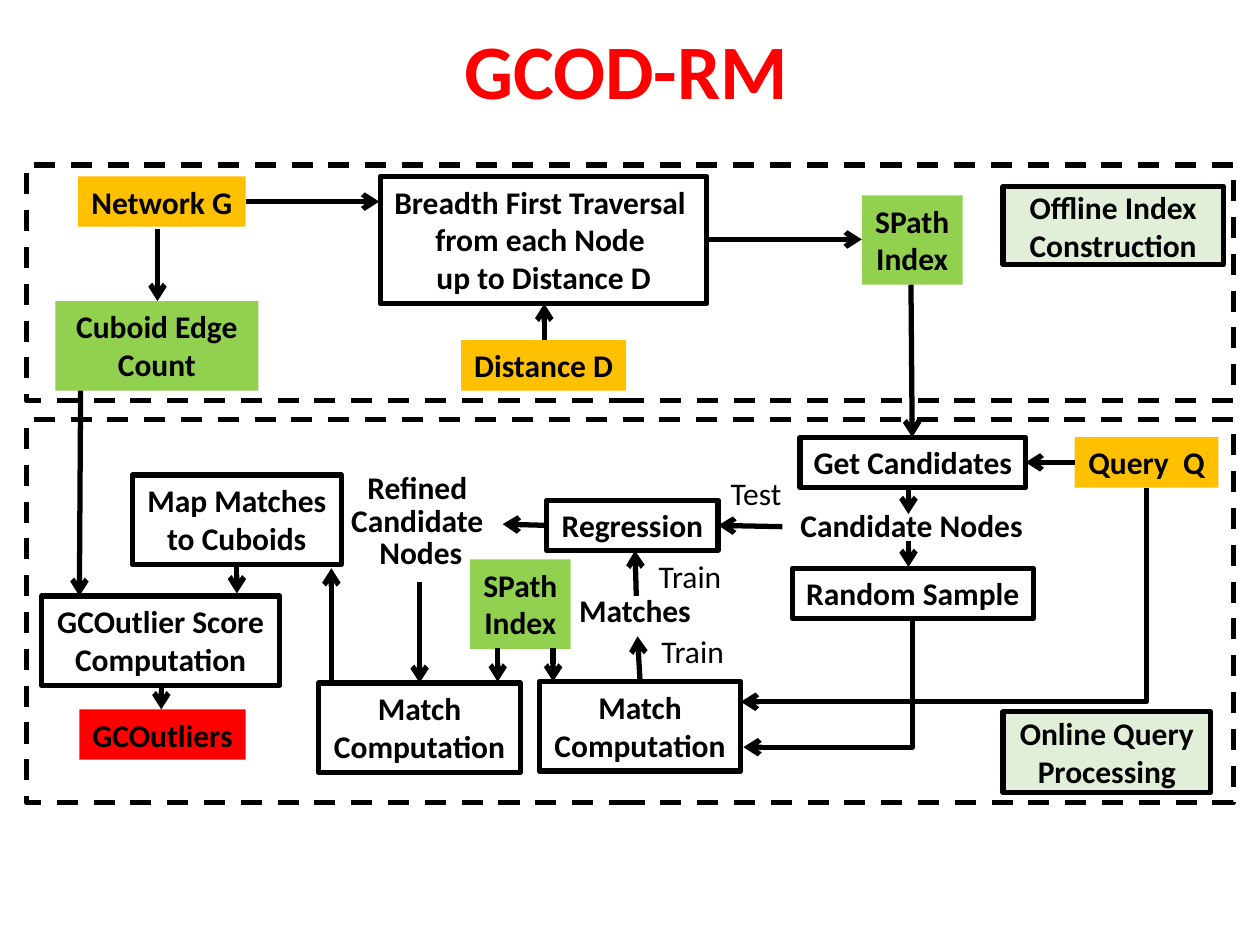
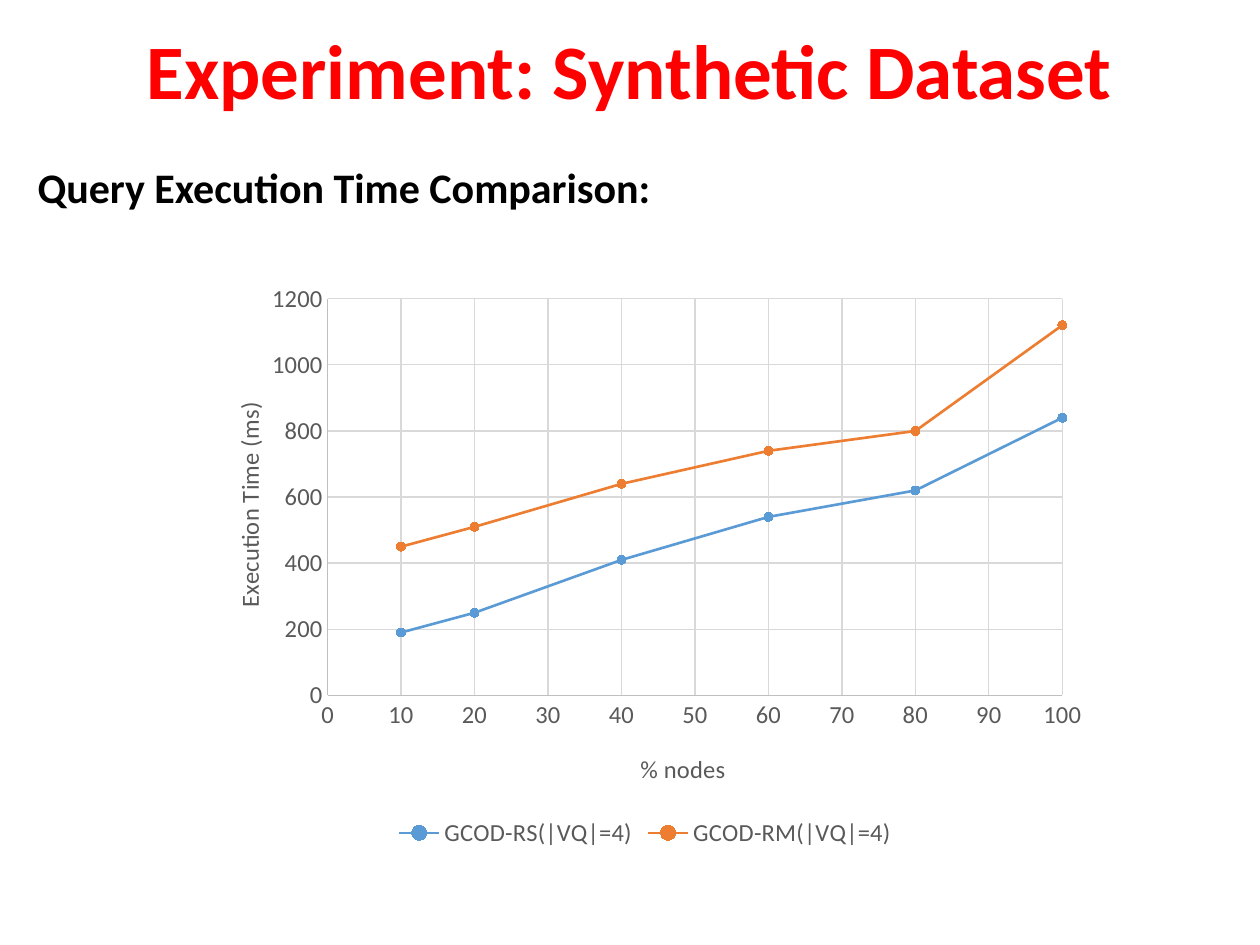
from dataclasses import dataclass

from lxml import etree
from pptx import Presentation
from pptx.chart.data import XyChartData
from pptx.dml.color import RGBColor
from pptx.enum.chart import XL_CHART_TYPE, XL_LEGEND_POSITION, XL_MARKER_STYLE, XL_TICK_MARK
from pptx.enum.dml import MSO_LINE
from pptx.enum.shapes import MSO_CONNECTOR, MSO_SHAPE
from pptx.enum.text import MSO_ANCHOR, PP_ALIGN
from pptx.oxml.ns import qn
from pptx.util import Inches, Pt

LEFT, CENTER = PP_ALIGN.LEFT, PP_ALIGN.CENTER
TOP, MIDDLE = MSO_ANCHOR.TOP, MSO_ANCHOR.MIDDLE
RECTANGLE = MSO_SHAPE.RECTANGLE
STRAIGHT, ELBOW = MSO_CONNECTOR.STRAIGHT, MSO_CONNECTOR.ELBOW
NO_TICK = XL_TICK_MARK.NONE

COLORS = {
    "text": "000000",
    "title": "FF0000",
    "input": "FFC000",
    "index": "92D050",
    "result": "FF0000",
    "phase": "C5E0B4",
    "chart_text": "595959",
    "axis": "BFBFBF",
    "grid": "D9D9D9",
    "rs": "5B9BD5",
    "rm": "ED7D31",
}
FONT = "Calibri"
STROKE = Pt(3)


@dataclass
class Box:
    left: float
    top: float
    width: float
    height: float
    text: str = ""
    fill: str = ""
    outlined: bool = False
    dashed: bool = False
    wrap: bool = False
    anchor: MSO_ANCHOR = TOP
    align: PP_ALIGN = CENTER
    size: float = 18
    bold: bool = True
    color: str = "text"
    spacing: float | Pt | None = None
    opacity: int = 100


@dataclass
class Arrow:
    x1: float
    y1: float
    x2: float
    y2: float
    bent: bool = False


@dataclass
class Series:
    name: str
    color: str
    times: tuple[int, ...]


def rgb(name: str) -> RGBColor:
    return RGBColor.from_string(COLORS[name])


def apply(target, **values) -> None:
    for attribute, value in values.items():
        setattr(target, attribute, value)


def style_font(font, size: float, color: str, bold: bool = False) -> None:
    apply(font, name=FONT, size=Pt(size), bold=bold)
    font.color.rgb = rgb(color)


def style_line(line, color: str, width: int) -> None:
    line.color.rgb = rgb(color)
    line.width = width


def draw_box(slide, box: Box) -> None:
    place = [Inches(v) for v in (box.left, box.top, box.width, box.height)]
    if box.fill or box.outlined:
        shape = slide.shapes.add_shape(RECTANGLE, *place)
        shape.shadow.inherit = False
        if box.fill:
            shape.fill.solid()
            shape.fill.fore_color.rgb = rgb(box.fill)
        else:
            shape.fill.background()
        if box.outlined:
            style_line(shape.line, "text", STROKE)
        else:
            shape.line.fill.background()
        if box.dashed:
            shape.line.dash_style = MSO_LINE.DASH
        if box.opacity < 100:
            tint = shape.element.spPr.find(f"{qn('a:solidFill')}/{qn('a:srgbClr')}")
            etree.SubElement(tint, qn("a:alpha"), val=str(box.opacity * 1000))
    else:
        shape = slide.shapes.add_textbox(*place)
    if not box.text:
        return
    frame = shape.text_frame
    apply(frame, text=box.text, word_wrap=box.wrap, vertical_anchor=box.anchor)
    for paragraph in frame.paragraphs:
        apply(paragraph, alignment=box.align, line_spacing=box.spacing)
        style_font(paragraph.runs[0].font, box.size, box.color, box.bold)


def draw_arrow(slide, arrow: Arrow) -> None:
    x1, y1, x2, y2 = arrow.x1, arrow.y1, arrow.x2, arrow.y2
    if arrow.bent:
        # A quarter turn about the centre makes the path run down, then left
        cx, cy = (x1 + x2) / 2, (y1 + y2) / 2
        half_w, half_h = (y2 - y1) / 2, (x1 - x2) / 2
        x1, y1, x2, y2 = cx - half_w, cy - half_h, cx + half_w, cy + half_h
    ends = [Inches(v) for v in (x1, y1, x2, y2)]
    connector = slide.shapes.add_connector(ELBOW if arrow.bent else STRAIGHT, *ends)
    style_line(connector.line, "text", STROKE)
    properties = connector.element.spPr
    if arrow.bent:
        properties.find(qn("a:xfrm")).set("rot", str(90 * 60000))
        properties.find(qn("a:prstGeom")).set("prst", "bentConnector2")
    etree.SubElement(properties.find(qn("a:ln")), qn("a:tailEnd"), type="arrow")
    etree.SubElement(properties, qn("a:effectLst"))


def draw_title(slide, text: str, left: float = 0) -> None:
    draw_box(slide, Box(left, 0.21, 10, 0.83, text, wrap=True, size=44,
                        color="title", spacing=0.9))


# Workflow slide
def process(left: float, top: float, width: float, height: float, text: str,
            wrap: bool = True) -> Box:
    return Box(left, top, width, height, text, outlined=True, wrap=wrap)


def phase(left: float, top: float, width: float, height: float, text: str) -> Box:
    return Box(left, top, width, height, text, "phase", outlined=True, wrap=True,
               anchor=MIDDLE, opacity=50)


def edge_label(left: float, top: float, width: float, text: str) -> Box:
    return Box(left, top, width, 0.4, text, align=LEFT, bold=False)


PHASE_FRAMES = [Box(0.21, top, 9.58, height, outlined=True, dashed=True)
                for top, height in ((1.31, 1.87), (3.33, 3.04))]

WORKFLOW = [
    # Offline index construction
    Box(0.62, 1.4, 1.33, 0.4, "Network G", "input"),
    Box(3.66, 2.7, 1.31, 0.4, "Distance D", "input"),
    process(3.02, 1.4, 2.59, 1.01,
            "Breadth First Traversal \nfrom each Node \nup to Distance D", wrap=False),
    Box(6.84, 1.55, 0.8, 0.71, "SPath\nIndex", "index"),
    Box(0.44, 2.39, 1.61, 0.71, "Cuboid Edge Count", "index", wrap=True),
    phase(7.96, 1.48, 1.75, 0.62, "Offline Index Construction"),
    # Online query processing
    process(6.35, 3.47, 1.79, 0.4, "Get Candidates", wrap=False),
    Box(8.53, 3.47, 1.14, 0.4, "Query  Q", "input"),
    Box(6.21, 3.97, 2.05, 0.4, "Candidate Nodes"),
    process(6.29, 4.51, 1.91, 0.4, "Random Sample", wrap=False),
    process(4.34, 3.97, 1.36, 0.4, "Regression"),
    Box(4.49, 4.64, 1.1, 0.4, "Matches"),
    Box(3.73, 4.44, 0.8, 0.71, "SPath\nIndex", "index"),
    process(2.53, 5.42, 1.6, 0.71, "Match Computation"),
    process(4.28, 5.41, 1.6, 0.71, "Match Computation"),
    Box(2.68, 3.71, 1.32, 0.9, "Refined \nCandidate \nNodes", spacing=Pt(18.6)),
    process(1.05, 3.77, 1.66, 0.71, "Map Matches to Cuboids"),
    process(0.33, 4.73, 1.89, 0.71, "GCOutlier Score Computation"),
    Box(0.63, 5.63, 1.32, 0.4, "GCOutliers", "result"),
    phase(7.96, 5.65, 1.65, 0.64, "Online Query Processing"),
    edge_label(5.13, 4.37, 0.7, "Train"),
    edge_label(5.15, 4.97, 0.7, "Train"),
    edge_label(5.7, 3.71, 0.61, "Test"),
]

FLOWS = [
    # Building the indexes
    Arrow(1.95, 1.6, 3.01, 1.6),
    Arrow(1.25, 1.82, 1.25, 2.39),
    Arrow(4.32, 2.7, 4.32, 2.41),
    Arrow(5.61, 1.9, 6.84, 1.9),
    # Finding and sampling candidates
    Arrow(7.23, 2.26, 7.24, 3.47),
    Arrow(8.53, 3.67, 8.14, 3.67),
    Arrow(7.21, 3.87, 7.21, 4.08),
    Arrow(7.21, 4.29, 7.21, 4.5),
    Arrow(7.24, 4.91, 5.9, 5.93, bent=True),
    Arrow(9.1, 3.87, 5.88, 5.57, bent=True),
    # Training and testing the regression
    Arrow(4.39, 5.14, 4.39, 5.41),
    Arrow(5.08, 5.41, 5.06, 5.05),
    Arrow(5.05, 4.73, 5.04, 4.37),
    Arrow(6.21, 4.18, 5.7, 4.17),
    Arrow(4.34, 4.17, 3.99, 4.16),
    # Matching and scoring
    Arrow(3.33, 4.62, 3.33, 5.42),
    Arrow(3.95, 5.14, 3.95, 5.41),
    Arrow(2.63, 5.42, 2.63, 4.51),
    Arrow(1.88, 4.48, 1.88, 4.71),
    Arrow(0.64, 3.1, 0.63, 4.73),
    Arrow(1.28, 5.42, 1.28, 5.63),
]


def build_workflow(slide) -> None:
    draw_title(slide, "GCOD-RM", left=-0.03)
    for box in PHASE_FRAMES + WORKFLOW:
        draw_box(slide, box)
    for flow in FLOWS:
        draw_arrow(slide, flow)


# Experiment slide
NODE_SHARES = (100, 80, 60, 40, 20, 10)
METHODS = [
    Series("GCOD-RS(|VQ|=4)", "rs", (840, 620, 540, 410, 250, 190)),
    Series("GCOD-RM(|VQ|=4)", "rm", (1120, 800, 740, 640, 510, 450)),
]


def set_layout(element, index: int, **fractions: float) -> None:
    for previous in element.findall(qn("c:layout")):
        element.remove(previous)
    layout = etree.Element(qn("c:layout"))
    manual = etree.SubElement(layout, qn("c:manualLayout"))
    if "w" in fractions:
        etree.SubElement(manual, qn("c:layoutTarget"), val="inner")
    for mode in ("xMode", "yMode"):
        etree.SubElement(manual, qn(f"c:{mode}"), val="edge")
    for side, value in fractions.items():
        etree.SubElement(manual, qn(f"c:{side}"), val=str(value))
    element.insert(index, layout)


def style_axis(axis, title: str, top: int, step: int, x: float, y: float) -> None:
    apply(axis, minimum_scale=0, maximum_scale=top, major_unit=step,
          major_tick_mark=NO_TICK, minor_tick_mark=NO_TICK, has_major_gridlines=True)
    style_line(axis.format.line, "axis", Pt(0.75))
    style_line(axis.major_gridlines.format.line, "grid", Pt(0.75))
    style_font(axis.tick_labels.font, 14, "chart_text")
    frame = axis.axis_title.text_frame
    frame.text = title
    style_font(frame.paragraphs[0].runs[0].font, 14, "chart_text")
    set_layout(axis.axis_title._element, 1, x=x, y=y)


def build_experiment(slide) -> None:
    draw_title(slide, "Experiment: Synthetic Dataset")
    draw_box(slide, Box(0.2, 1.23, 9.17, 0.5, "Query Execution Time Comparison:",
                        wrap=True, align=LEFT, size=24))
    data = XyChartData()
    for method in METHODS:
        points = data.add_series(method.name)
        for share, time in zip(NODE_SHARES, method.times):
            points.add_data_point(share, time)
    place = [Inches(v) for v in (1.52, 2.14, 7.2, 4.63)]
    chart = slide.shapes.add_chart(XL_CHART_TYPE.XY_SCATTER_LINES, *place, data).chart
    apply(chart, has_title=False, has_legend=True)
    style_font(chart.font, 14, "text")
    apply(chart.legend, position=XL_LEGEND_POSITION.BOTTOM, include_in_layout=False)
    style_font(chart.legend.font, 14, "chart_text")
    chart.plots[0].vary_by_categories = False
    style_axis(chart.category_axis, "% nodes", 100, 10, 0.49, 0.82)
    style_axis(chart.value_axis, "Execution Time (ms)", 1200, 200, 0.04, 0.22)
    plot_area = chart._chartSpace.find(f"{qn('c:chart')}/{qn('c:plotArea')}")
    set_layout(plot_area, 0, x=0.15, y=0.05, w=0.81, h=0.68)
    for method, series in zip(METHODS, chart.plots[0].series):
        series.smooth = False
        style_line(series.format.line, method.color, Pt(1.5))
        apply(series.marker, style=XL_MARKER_STYLE.CIRCLE, size=5)
        series.marker.format.fill.solid()
        series.marker.format.fill.fore_color.rgb = rgb(method.color)
        series.marker.format.line.color.rgb = rgb(method.color)


def main() -> None:
    deck = Presentation()
    apply(deck, slide_width=Inches(10), slide_height=Inches(7.5))
    for build in (build_workflow, build_experiment):
        build(deck.slides.add_slide(deck.slide_layouts[6]))
    deck.save("out.pptx")


if __name__ == "__main__":
    main()
